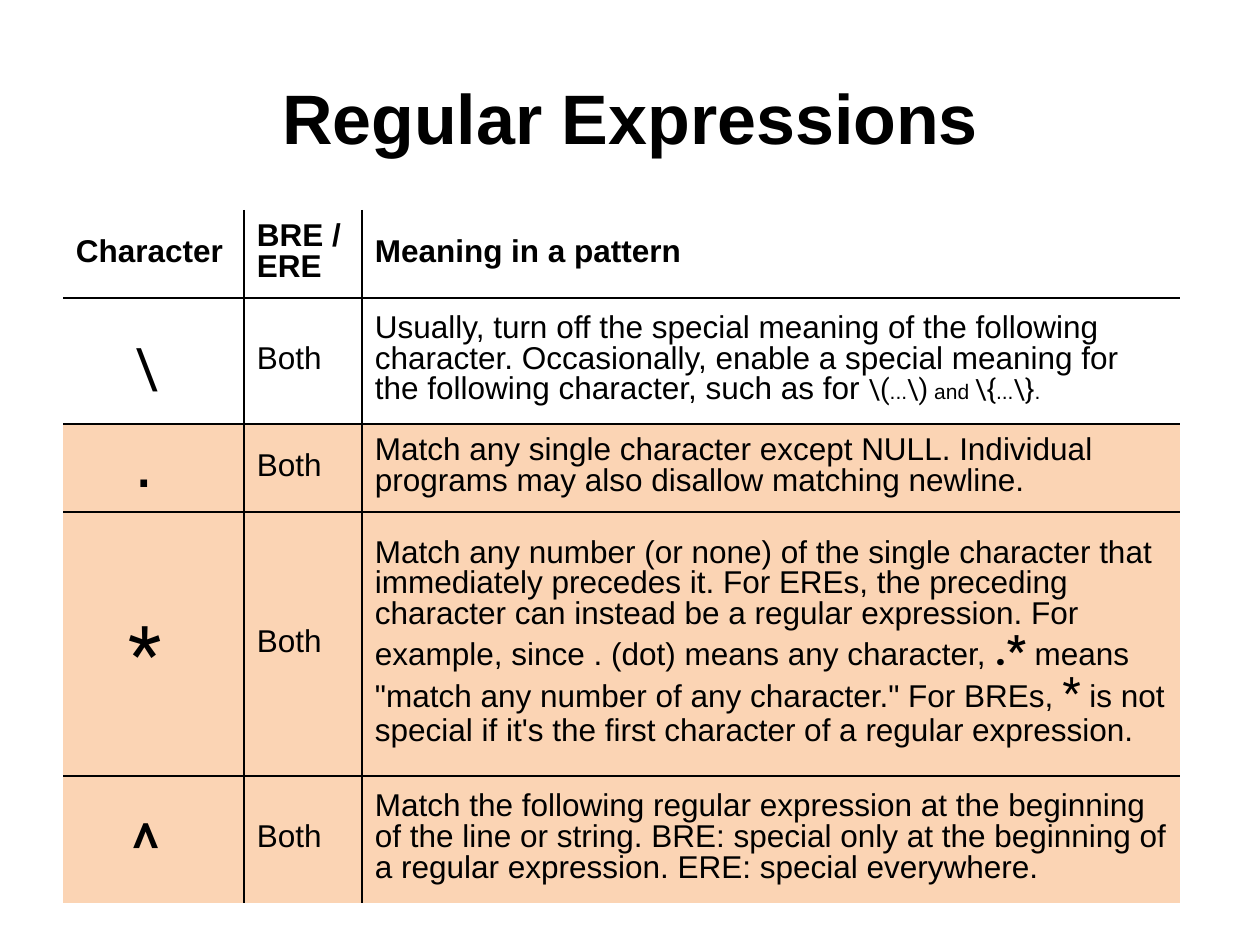
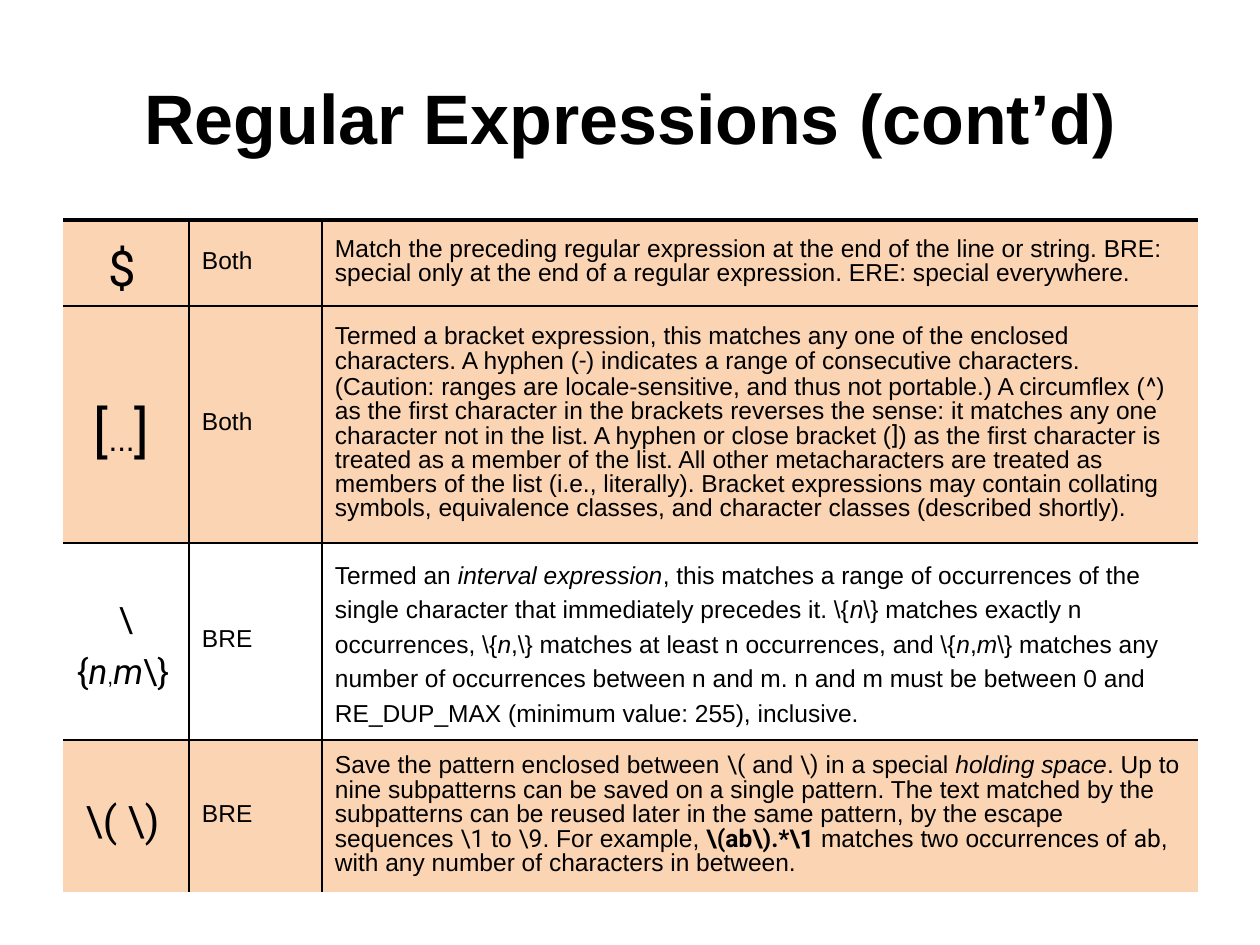
from dataclasses import dataclass

from lxml import etree
from pptx import Presentation
from pptx.dml.color import RGBColor
from pptx.enum.text import MSO_ANCHOR as ANCHOR, PP_ALIGN as ALIGN
from pptx.oxml.ns import qn
from pptx.util import Emu, Pt


@dataclass(frozen=True)
class Theme:
    ink: RGBColor = RGBColor.from_string("000000")
    band: RGBColor = RGBColor.from_string("FBD4B4")
    font: str = "Arial"
    code: str = "Roboto"
    title: int = 40
    body: int = 18
    compact: int = 14
    tight: float = 0.87
    loose: float = 1.25
    rule: float = 1
    top_rule: float = 2.25


T = Theme()
TITLE_BOX = (63, 38, 1134, 157)
EMU_PER_PX = 914400 / 126


def px(n):
    return Emu(round(n * EMU_PER_PX))


# Runs: a plain string takes the cell's format, a pair adds its own
def run(text, size=None, **fmt):
    if size:
        fmt["size"] = Pt(size)
    return text, fmt


def code(text, size=None, **fmt):
    return run(text, size, name=T.code, **fmt)


def ital(text, size=None, **fmt):
    return run(text, size, italic=True, **fmt)


@dataclass
class Cell:
    paras: list
    spacing: float = T.tight
    align: ALIGN = ALIGN.LEFT


@dataclass
class Row:
    height: int
    cells: tuple
    filled: bool = True
    bold: bool = False


def symbol(*runs, spacing=T.loose):
    return Cell([runs], spacing, ALIGN.CENTER)


def lines(*texts):
    return Cell([t if isinstance(t, tuple) else (t,) for t in texts])


def passage(*runs, spacing=T.tight):
    return Cell([runs], spacing)


def add_runs(p, runs, size, bold=False):
    for item in runs:
        text, own = item if isinstance(item, tuple) else (item, {})
        r = p.add_run()
        r.text = text
        fmt = dict(name=T.font, size=Pt(size), bold=bold, italic=False) | own
        for key, value in fmt.items():
            setattr(r.font, key, value)
        r.font.color.rgb = T.ink


def set_borders(cell, widths):
    tcPr = cell._tc.get_or_add_tcPr()
    for side, width in zip("LRTB", widths):
        ln = etree.SubElement(tcPr, qn(f"a:ln{side}"), w=str(Pt(width)))
        if width:
            fill = etree.SubElement(ln, qn("a:solidFill"))
            etree.SubElement(fill, qn("a:srgbClr"), val=str(T.ink))
        else:
            etree.SubElement(ln, qn("a:noFill"))


def fill_cell(cell, content, row, size):
    loose = content.spacing == T.loose
    margins = dict(margin_left=px(13), margin_right=px(13),
                   margin_top=px(6 if loose else 4), margin_bottom=px(6))
    for key, value in dict(margins, vertical_anchor=ANCHOR.MIDDLE).items():
        setattr(cell, key, value)
    if row.filled:
        cell.fill.solid()
        cell.fill.fore_color.rgb = T.band
    else:
        cell.fill.background()
    tf = cell.text_frame
    for i, runs in enumerate(content.paras):
        p = tf.add_paragraph() if i else tf.paragraphs[0]
        p.alignment, p.line_spacing = content.align, content.spacing
        add_runs(p, runs, size, row.bold)


def add_title(s, text, box):
    sp = s.shapes.title
    for key, value in zip(("left", "top", "width", "height"), box):
        setattr(sp, key, px(value))
    tf = sp.text_frame
    tf.word_wrap, tf.vertical_anchor = True, ANCHOR.MIDDLE
    p = tf.paragraphs[0]
    p.alignment = ALIGN.CENTER
    add_runs(p, [text], T.title, bold=True)


def add_pattern_table(s, left, top, widths, rows, size, top_rule):
    height = sum(row.height for row in rows)
    frame = s.shapes.add_table(len(rows), len(widths), px(left), px(top),
                               px(sum(widths)), px(height))
    table = frame.table
    table.first_row = table.horz_banding = False
    for col, width in zip(table.columns, widths):
        col.width = px(width)
    last_row, last_col = len(rows) - 1, len(widths) - 1
    for i, row in enumerate(rows):
        table.rows[i].height = px(row.height)
        for j, content in enumerate(row.cells):
            cell = table.cell(i, j)
            # Only inner rules show, plus an optional one on top
            set_borders(cell, (T.rule if j else 0,
                               T.rule if j < last_col else 0,
                               T.rule if i else top_rule,
                               T.rule if i < last_row else 0))
            fill_cell(cell, content, row, size)


def add_pattern_slide(prs, title, top, widths, rows, size, top_rule=0):
    s = prs.slides.add_slide(prs.slide_layouts[5])
    add_title(s, title, TITLE_BOX)
    add_pattern_table(s, TITLE_BOX[0], top, widths, rows, size, top_rule)


BOTH, BRE = lines("Both"), lines("BRE")

# Basic characters
BASIC_ROWS = [
    Row(88, (lines("Character"), lines("BRE /", "ERE"),
             lines("Meaning in a pattern")), filled=False, bold=True),
    Row(126, (symbol(code("\\ ", 32)), BOTH, lines(
        "Usually, turn off the special meaning of the following",
        "character. Occasionally, enable a special meaning for",
        ("the following character, such as for ",
         code("\\(", 16), run("...", 12), code("\\)", 16), run(" and ", 12),
         code("\\{", 16), run("...", 12), code("\\}", 16), run(".", 12)))),
        filled=False),
    Row(88, (symbol(run(". ", 40), spacing=T.tight), BOTH, lines(
        "Match any single character except NULL. Individual",
        "programs may also disallow matching newline."))),
    Row(264, (symbol(code("*", 44), run(" ", 36)), BOTH, lines(
        "Match any number (or none) of the single character that",
        "immediately precedes it. For EREs, the preceding",
        "character can instead be a regular expression. For",
        ("example, since . (dot) means any character, ",
         code(".*", 24, bold=True), " means"),
        ("\"match any number of any character.\" For BREs, ",
         code("*", 24), " is not"),
        "special if it's the first character of a regular expression."))),
    Row(127, (symbol(code("^", 40), run(" ", 32)), BOTH, lines(
        "Match the following regular expression at the beginning",
        "of the line or string. BRE: special only at the beginning of",
        "a regular expression. ERE: special everywhere."))),
]

# Anchors, brackets, intervals and groups
GROUP_ROWS = [
    Row(86, (symbol(code("$", 28), run(" ", 16, bold=True)), BOTH, passage(
        "Match the preceding regular expression at the end of the line or "
        "string. BRE: special only at the end of a regular expression. "
        "ERE: special everywhere."))),
    Row(237, (symbol(code("[", 32), run("...", 18), code("]", 32),
                     run(" ", 18)), BOTH, passage(
        "Termed a bracket expression, this matches any one of the enclosed "
        "characters. A hyphen (", code("-"),
        ") indicates a range of consecutive characters. (Caution: ranges are "
        "locale-sensitive, and thus not portable.) A circumflex (", code("^"),
        ") as the first character in the brackets reverses the sense: it "
        "matches any one character not in the list. A hyphen or close "
        "bracket (", code("]"),
        ") as the first character is treated as a member of the list. All "
        "other metacharacters are treated as members of the list (i.e., "
        "literally). Bracket expressions may contain collating symbols, "
        "equivalence classes, and character classes (described shortly)."))),
    Row(197, (symbol(code("\\{", 20), ital("n", 20, name=T.code),
                     run(",", 12), ital("m", 20, name=T.code),
                     code("\\}", 20), run(" ", 12)), BRE, passage(
        "Termed an ", ital("interval expression"),
        ", this matches a range of occurrences of the single character that "
        "immediately precedes it. \\{", ital("n"),
        "\\} matches exactly n occurrences, \\{", ital("n"),
        ",\\} matches at least n occurrences, and \\{", ital("n"), ",",
        ital("m"),
        "\\} matches any number of occurrences between n and m. n and m must "
        "be between 0 and RE_DUP_MAX (minimum value: 255), inclusive.",
        spacing=T.loose)), filled=False),
    Row(152, (symbol(code("\\( \\)", 24), run(" ", 14)), BRE, passage(
        "Save the pattern enclosed between ", code("\\("), " and ",
        code("\\)"), " in a special ", ital("holding space"),
        ". Up to nine subpatterns can be saved on a single pattern. The text "
        "matched by the subpatterns can be reused later in the same pattern, "
        "by the escape sequences ", code("\\1"), " to ", code("\\9"),
        ". For example, ", code("\\(ab\\).*\\1", bold=True),
        " matches two occurrences of ", code("ab"),
        ", with any number of characters in between."))),
]


def main():
    prs = Presentation()
    prs.slide_width, prs.slide_height = px(1260), px(945)
    add_pattern_slide(prs, "Regular Expressions", 210, (181, 118, 818),
                      BASIC_ROWS, T.body)
    add_pattern_slide(prs, "Regular Expressions (cont’d)", 220,
                      (126, 133, 876), GROUP_ROWS, T.compact, T.top_rule)
    prs.save("out.pptx")


if __name__ == "__main__":
    main()
